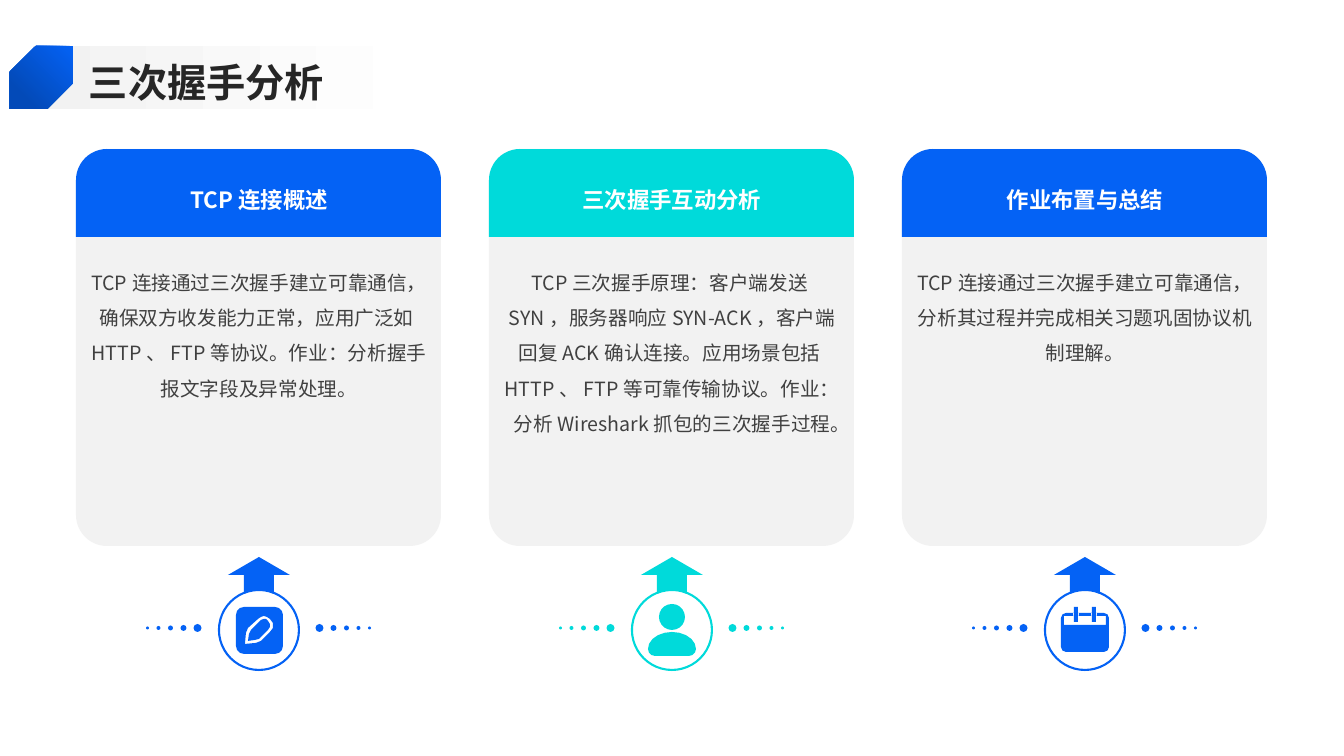
from math import cos, radians, sin

from lxml.etree import SubElement
from pptx import Presentation
from pptx.dml.color import RGBColor
from pptx.enum.shapes import MSO_SHAPE as Shape
from pptx.enum.text import MSO_ANCHOR as Anchor, PP_ALIGN as Align
from pptx.oxml.ns import qn
from pptx.util import Emu, Pt

FONT = "Noto Sans CJK SC"
BLUE, CYAN, PALE, WHITE = "0462F5", "00DADA", "F2F2F2", "FFFFFF"
TITLE = "三次握手分析"
CARDS = [
    ("TCP连接概述", BLUE, "pencil",
     "TCP连接通过三次握手建立可靠通信，确保双方收发能力正常，应用广泛如HTTP、FTP等协议。"
     "作业：分析握手报文字段及异常处理。"),
    ("三次握手互动分析", CYAN, "person",
     "TCP三次握手原理：客户端发送SYN，服务器响应SYN-ACK，客户端回复ACK确认连接。"
     "应用场景包括HTTP、FTP等可靠传输协议。作业：分析Wireshark抓包的三次握手过程。"),
    ("作业布置与总结", BLUE, "calendar",
     "TCP连接通过三次握手建立可靠通信，分析其过程并完成相关习题巩固协议机制理解。"),
]
CARD_LEFT, CARD_TOP, CARD_WIDTH, CARD_HEIGHT, CARD_PITCH = 76, 149, 365, 397, 413
HEADER_HEIGHT, CORNER = 88, 31
CIRCLE_SIZE, CIRCLE_MIDDLE = 80, 630
DOTS = [(61, 8), (75, 6), (88, 5), (100, 4), (111, 3)]
ARROW = [(-15, -36), (-15, -55), (-31, -55), (0, -73), (31, -55), (15, -55),
         (15, -36), (8, -39), (0, -40), (-8, -39)]


def px(length):
    """Turn pixels into EMU."""
    return Emu(round(length * 914400 / 100.8))


def rgb(colour):
    """Turn a hex string into a colour."""
    return RGBColor.from_string(colour)


def arc(x, y, radius_x, radius_y, start=0, end=360):
    """Return points along an elliptical arc, coarser when it is small."""
    steps = (end - start) // (45 if radius_x <= 5 else 30 if radius_x <= 8 else 18)
    angles = [radians(start + (end - start) * i / steps) for i in range(steps + 1)]
    return [(x + radius_x * cos(a), y + radius_y * sin(a)) for a in angles]


def disc(x, y, radius):
    """Return the outline of a full circle."""
    return arc(x, y, radius, radius)[:-1]


def rounded(left, top, right, bottom, radius):
    """Return the outline of a rounded rectangle."""
    near, far = left + radius, right - radius
    high, low = top + radius, bottom - radius
    corners = [(near, high, 180), (far, high, 270), (far, low, 0), (near, low, 90)]
    return [point for x, y, start in corners
            for point in arc(x, y, radius, radius, start, start + 90)]


def block(left, top, right, bottom):
    """Return the outline of a square-cornered rectangle."""
    return [(left, top), (right, top), (right, bottom), (left, bottom)]


ICONS = {
    "pencil": [
        rounded(-23, -23, 24, 24, 8),
        [(5, -14), (2, -13), (-1, -11), (-11, -2), (-13, 3), (-14, 14),
         (-3, 13), (2, 11), (11, 2), (14, -2), (14, -7), (11, -11), (8, -13)],
        [(5, -11), (2, -10), (-8, 0), (-10, 4), (-11, 11), (-4, 10),
         (0, 9), (9, 0), (11, -3), (11, -6), (9, -9), (7, -11)],
    ],
    "person": [
        disc(0, -13, 13),
        arc(0, 19, 24, 17, 180, 360) + arc(17, 19, 7, 7, 0, 90)
        + arc(-17, 19, 7, 7, 90, 180),
    ],
    "calendar": [rounded(-24, -17, 24, 22, 5), block(-21, -14, 21, -5)] + [
        outline for x in (-9, 9) for outline in (
            block(x - 3, -17, x + 3, -14), block(x - 2, -23, x + 2, -8))
    ],
}


def draw_outlines(slide, outlines, x, y, colour):
    """Draw closed outlines around a centre as one shape."""
    placed = [[(px(x + dx), px(y + dy)) for dx, dy in outline] for outline in outlines]
    builder = slide.shapes.build_freeform(*placed[0][0], scale=1.0)
    for index, outline in enumerate(placed):
        if index:
            builder.move_to(*outline[0])
        builder.add_line_segments(outline[1:], close=True)
    shape = builder.convert_to_shape()
    shape.shadow.inherit = False
    shape.fill.solid()
    shape.fill.fore_color.rgb = rgb(colour)
    shape.line.fill.background()


def draw_preset(slide, kind, box, fill=None, line=None, adjust=()):
    """Draw a preset shape with a plain, gradient or empty fill."""
    shape = slide.shapes.add_shape(kind, *map(px, box))
    shape.shadow.inherit = False
    for index, value in enumerate(adjust):
        shape.adjustments[index] = value
    if isinstance(fill, tuple):
        start, end, angle = fill
        shape.fill.gradient()
        shape.fill.gradient_angle = angle
        for stop, colour, position in zip(shape.fill.gradient_stops, (start, end), (0, 0.8)):
            stop.color.rgb, stop.position = rgb(colour), position
    elif fill:
        shape.fill.solid()
        shape.fill.fore_color.rgb = rgb(fill)
    else:
        shape.fill.background()
    if line:
        shape.line.color.rgb = rgb(line)
        shape.line.width = Pt(1.5)
    else:
        shape.line.fill.background()
    return shape


def draw_text(slide, box, text, size, colour, spacing, bold=False,
              align=Align.CENTER, anchor=Anchor.MIDDLE, inset=5):
    """Add a wrapped text box."""
    frame = slide.shapes.add_textbox(*map(px, box)).text_frame
    frame.word_wrap = True
    frame.vertical_anchor = anchor
    frame.margin_left = frame.margin_right = 0
    frame.margin_top = frame.margin_bottom = px(inset)
    frame.text = text
    paragraph = frame.paragraphs[0]
    paragraph.alignment, paragraph.line_spacing = align, spacing
    run = paragraph.runs[0]
    run.font.size, run.font.bold, run.font.name = Pt(size), bold, FONT
    run.font.color.rgb = rgb(colour)
    SubElement(run.font._element, qn("a:ea")).set("typeface", FONT)


def draw_card(slide, left, heading, colour, icon, body):
    """Draw one card with its arrow, dots and icon."""
    draw_preset(slide, Shape.ROUNDED_RECTANGLE, (left, CARD_TOP, CARD_WIDTH, CARD_HEIGHT),
                PALE, adjust=[CORNER / CARD_WIDTH])
    draw_preset(slide, Shape.ROUND_2_SAME_RECTANGLE, (left, CARD_TOP, CARD_WIDTH, HEADER_HEIGHT),
                colour, adjust=[CORNER / HEADER_HEIGHT, 0])
    draw_text(slide, (left + 14, 161, 338, 70), heading, 16, WHITE, 1.3, bold=True)
    draw_text(slide, (left + 15, 254, 336, 219), body, 14, "404040", 1.5, anchor=Anchor.TOP)
    centre = left + 183
    draw_preset(slide, Shape.OVAL, (centre - CIRCLE_SIZE / 2, CIRCLE_MIDDLE - CIRCLE_SIZE / 2,
                                    CIRCLE_SIZE, CIRCLE_SIZE), line=colour)
    draw_outlines(slide, ICONS[icon], centre, CIRCLE_MIDDLE, colour)
    for side in (-1, 1):
        dots = [disc(side * offset, -2, size / 2) for offset, size in DOTS]
        draw_outlines(slide, dots, left + CARD_WIDTH / 2, CIRCLE_MIDDLE, colour)
    draw_outlines(slide, [ARROW], centre, CIRCLE_MIDDLE, colour)


def main():
    """Build the slide and save it."""
    presentation = Presentation()
    presentation.slide_width, presentation.slide_height = px(1344), px(756)
    slide = presentation.slides.add_slide(presentation.slide_layouts[6])
    for index, card in enumerate(CARDS):
        draw_card(slide, CARD_LEFT + index * CARD_PITCH, *card)
    draw_preset(slide, Shape.RECTANGLE, (33, 46, 496, 63), (PALE, WHITE, 0))
    draw_text(slide, (89, 54, 1198, 51), TITLE, 28, "262626", 1.1, bold=True,
              align=Align.LEFT, inset=0)
    badge = draw_preset(slide, Shape.SNIP_2_DIAG_RECTANGLE, (10, 46, 63, 63),
                        (BLUE, "034AB8", 315), adjust=[0, 0.41])
    badge.element.spPr.xfrm.set("flipH", "1")
    presentation.save("out.pptx")


if __name__ == "__main__":
    main()
